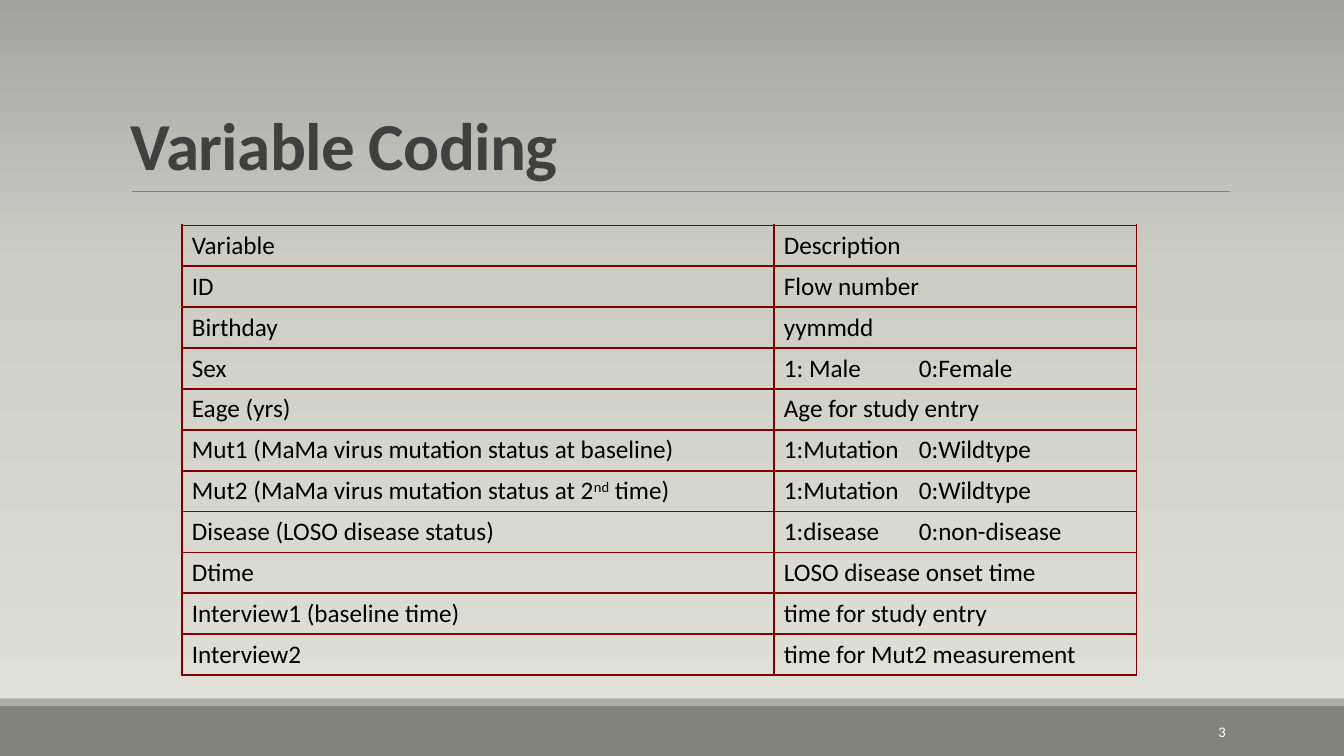
"""Build the Variable Coding slide."""
from copy import deepcopy

from pptx import Presentation
from pptx import util as u
from pptx.dml.color import RGBColor
from pptx.enum import shapes, text
from pptx.oxml import ns, parse_xml

BLACK = RGBColor(0x00, 0x00, 0x00)
WHITE = RGBColor(0xFF, 0xFF, 0xFF)
CHARCOAL = RGBColor(0x40, 0x40, 0x40)
GREY = RGBColor(0x80, 0x80, 0x80)
FOOTER = RGBColor(0x82, 0x84, 0x7C)
FOOTER_EDGE = RGBColor(0xAC, 0xAD, 0xA8)
MAROON = RGBColor(0x80, 0x00, 0x00)
BACKDROP = [(0, RGBColor(0xE2, 0xE2, 0xDA)),
            (0.65, RGBColor(0xCD, 0xCD, 0xC6)),
            (1, RGBColor(0xA4, 0xA4, 0x9F))]

CODING = [
    ("Variable", "Description"),
    ("ID", "Flow number"),
    ("Birthday", "yymmdd"),
    ("Sex", "1: Male\t0:Female"),
    ("Eage (yrs)", "Age for study entry"),
    ("Mut1 (MaMa virus mutation status at baseline)", "1:Mutation\t0:Wildtype"),
    ("Mut2 (MaMa virus mutation status at 2^nd^ time)", "1:Mutation\t0:Wildtype"),
    ("Disease (LOSO disease status)", "1:disease\t0:non-disease"),
    ("Dtime", "LOSO disease onset time"),
    ("Interview1 (baseline time)", "time for study entry"),
    ("Interview2", "time for Mut2 measurement"),
]


def write(frame, words, size=18, color=BLACK, bold=False, align=None,
          spacing=None, tracking=None, tab=None):
    """Write formatted words into a frame; parts between carets are raised."""
    paragraph = frame.paragraphs[0]
    paragraph.alignment = align
    paragraph.line_spacing = spacing
    if tab is not None:
        paragraph._p.get_or_add_pPr().append(parse_xml(
            f'<a:tabLst {ns.nsdecls("a")}><a:tab pos="{tab}" algn="l"/></a:tabLst>'))
    for index, part in enumerate(words.split("^")):
        run = paragraph.add_run()
        run.text = part
        run.font.name = "Calibri"
        run.font.size = u.Pt(size)
        run.font.bold = bold
        run.font.color.rgb = color
        if index % 2:
            run.font._element.set("baseline", "30000")
        if tracking is not None:
            run.font._element.set("spc", str(int(tracking * 100)))


class CodingSlide:
    """Hold the slide and draw its elements, with lengths in centimetres."""

    def __init__(self, slide):
        """Keep the slide that is drawn on."""
        self.slide = slide

    def background(self, stops):
        """Fill the background with a vertical gradient."""
        fill = self.slide.background.fill
        fill.gradient()
        fill.gradient_angle = 90
        stop_list = next(self.slide._element.iter(ns.qn("a:gsLst")))
        stop_list.append(deepcopy(stop_list[-1]))
        for stop, (position, color) in zip(fill.gradient_stops, stops):
            stop.position = position
            stop.color.rgb = color

    def band(self, left, top, width, height, color):
        """Draw a plain filled rectangle."""
        band = self.slide.shapes.add_shape(
            shapes.MSO_SHAPE.RECTANGLE, *map(u.Cm, (left, top, width, height)))
        band.shadow.inherit = False
        band.fill.solid()
        band.fill.fore_color.rgb = color
        band.line.fill.background()

    def rule(self, left, right, top, color, weight):
        """Draw a horizontal line."""
        rule = self.slide.shapes.add_connector(
            shapes.MSO_CONNECTOR.STRAIGHT, *map(u.Cm, (left, top, right, top)))
        rule.line.color.rgb = color
        rule.line.width = u.Pt(weight)
        rule._element.spPr.append(parse_xml(f'<a:effectLst {ns.nsdecls("a")}/>'))

    def label(self, left, top, width, height, words, anchor, **style):
        """Place a wrapped text box."""
        frame = self.slide.shapes.add_textbox(
            *map(u.Cm, (left, top, width, height))).text_frame
        frame.word_wrap = True
        frame.vertical_anchor = anchor
        write(frame, words, **style)

    def table(self, left, top, widths, row_height, rows, border, weight, tab):
        """Draw an unfilled table with borders around every cell."""
        table = self.slide.shapes.add_table(
            len(rows), len(widths),
            *map(u.Cm, (left, top, sum(widths), row_height * len(rows)))).table
        table.first_row = table.horz_banding = False
        for column, width in zip(table.columns, widths):
            column.width = u.Cm(width)
        for row, entries in zip(table.rows, rows):
            row.height = u.Cm(row_height)
            for cell, words in zip(row.cells, entries):
                write(cell.text_frame, words, tab=u.Cm(tab) if "\t" in words else None)
                properties = cell._tc.get_or_add_tcPr()
                for side in "LRTB":
                    properties.append(parse_xml(
                        f'<a:ln{side} {ns.nsdecls("a")} w="{u.Pt(weight)}"><a:solidFill>'
                        f'<a:srgbClr val="{border}"/></a:solidFill></a:ln{side}>'))
                cell.fill.background()


def main():
    """Build and save the presentation."""
    deck = Presentation()
    deck.slide_width, deck.slide_height = u.Cm(33.87), u.Cm(19.05)
    page = CodingSlide(deck.slides.add_slide(deck.slide_layouts[6]))
    page.background(BACKDROP)
    page.band(0, 17.78, 33.87, 1.27, FOOTER)
    page.band(0, 17.6, 33.87, 0.18, FOOTER_EDGE)
    page.rule(3.32, 31, 4.82, GREY, 0.5)
    page.table(4.58, 5.68, (14.92, 9.14), 1.03, CODING, MAROON, 1.5, tab=3.4)
    page.label(27.5, 17.93, 3.64, 1.01, "3", text.MSO_ANCHOR.MIDDLE,
               size=10.5, color=WHITE, align=text.PP_ALIGN.RIGHT)
    page.label(3.05, 0.74, 27.94, 4.03, "Variable Coding", text.MSO_ANCHOR.BOTTOM,
               size=48, color=CHARCOAL, bold=True, spacing=0.85, tracking=-0.5)
    deck.save("out.pptx")


if __name__ == "__main__":
    main()
